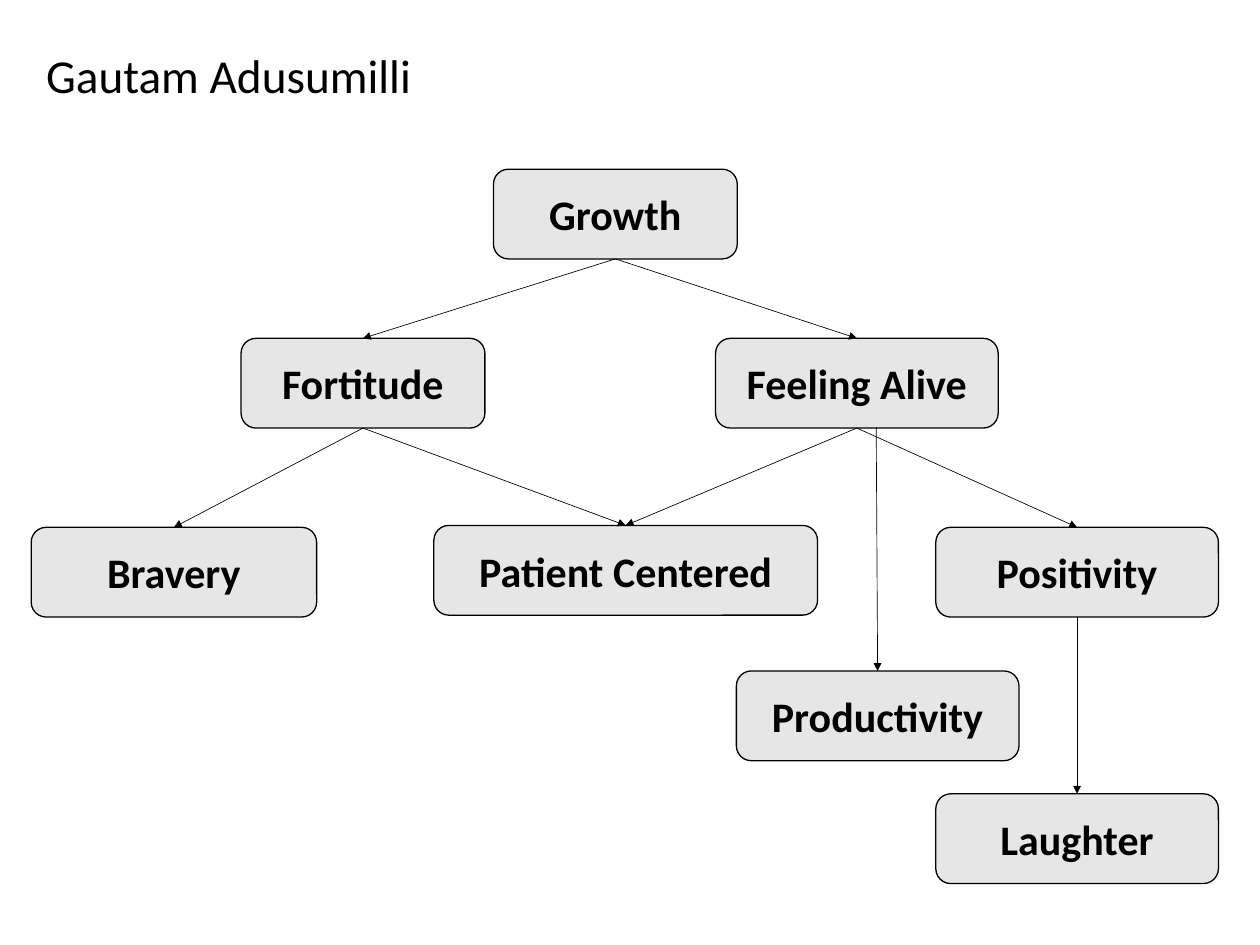
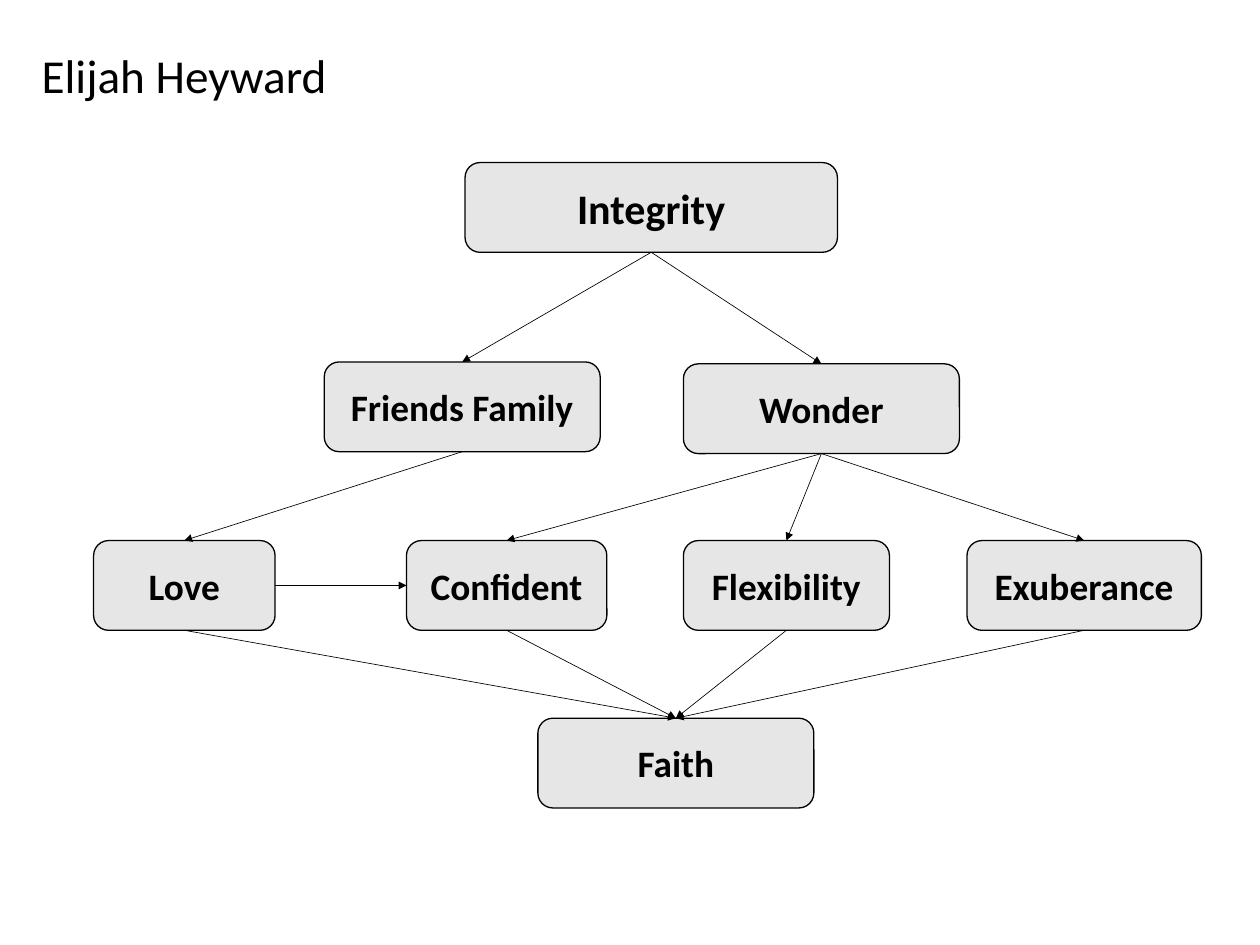
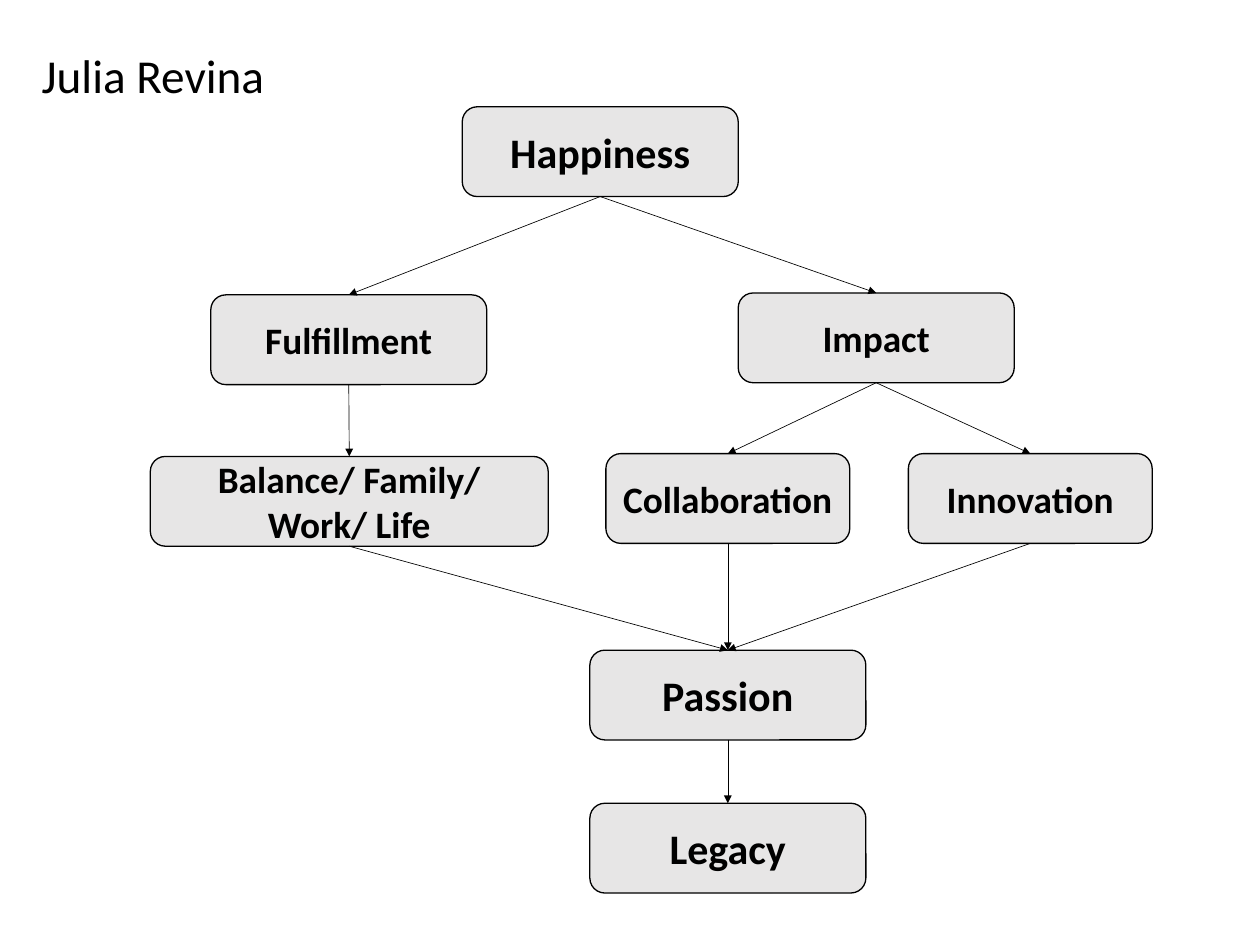
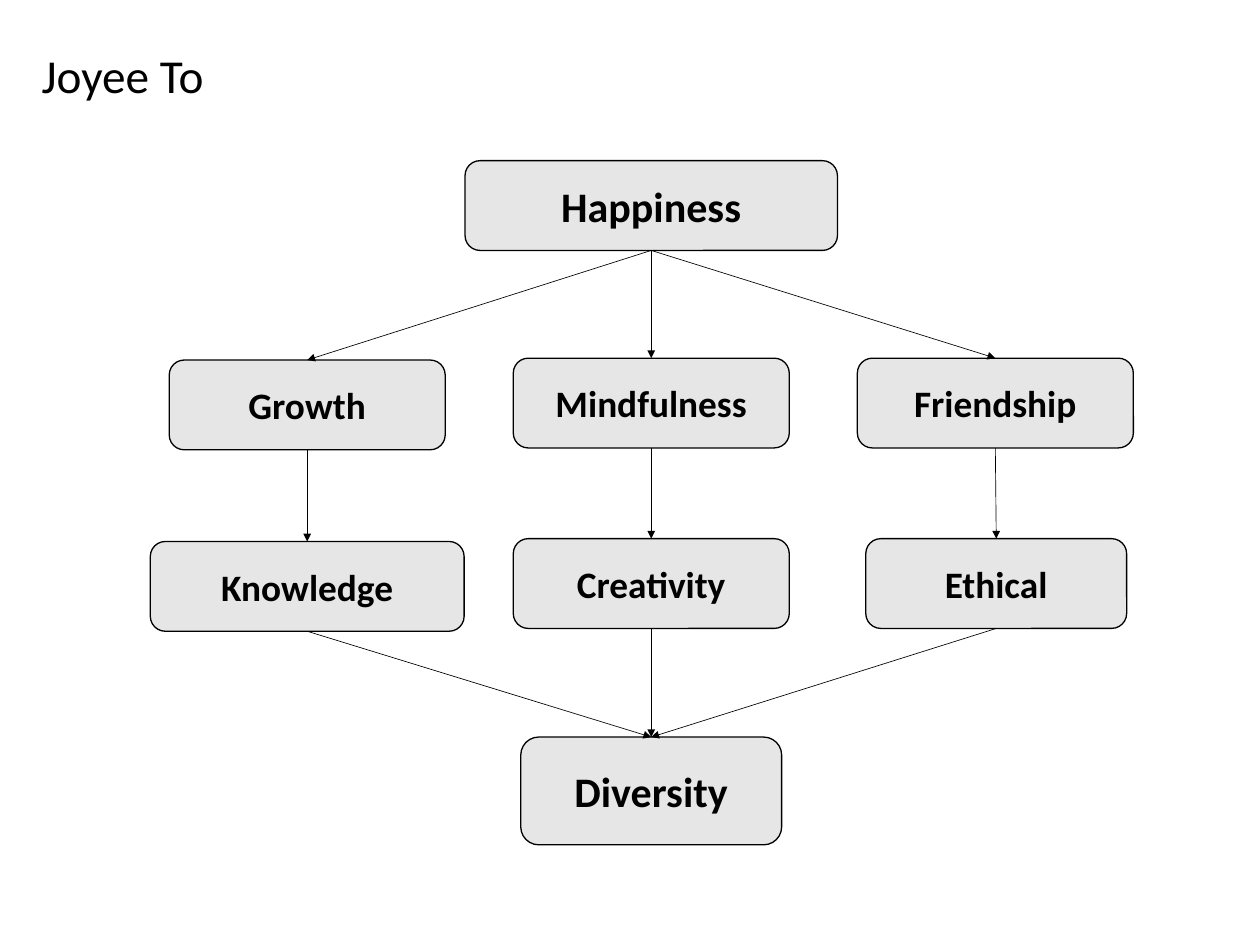
import pptx
import pptx.util
import pptx.dml.color
import pptx.enum.shapes
import pptx.enum.text
import pptx.oxml.ns
from lxml import etree
from pptx.util import Inches, Pt

BLACK = pptx.dml.color.RGBColor(0x00, 0x00, 0x00)
GREY = pptx.dml.color.RGBColor(0xE7, 0xE6, 0xE6)
FONT = "Calibri"
LARGE, SMALL = 32, 28.4
HEIGHT, TALL = 0.95, 1.14
TOP, LEFT, BOTTOM, RIGHT = range(4)
ALIGN = pptx.enum.text.PP_ALIGN
MIDDLE = pptx.enum.text.MSO_ANCHOR.MIDDLE
ROUNDED = pptx.enum.shapes.MSO_SHAPE.ROUNDED_RECTANGLE
STRAIGHT = pptx.enum.shapes.MSO_CONNECTOR.STRAIGHT

# Each slide: title, title left, title width, title alignment,
# boxes (text, left, top, width, height, font size),
# links (parent, children), joined from bottom to top.
LADDERS = [
    ("Gautam Adusumilli", 0, 4.45, ALIGN.RIGHT, [
        ("Growth", 5.22, 1.79, 2.58, HEIGHT, LARGE),
        ("Fortitude", 2.55, 3.58, 2.58, HEIGHT, LARGE),
        ("Feeling Alive", 7.57, 3.58, 2.99, HEIGHT, LARGE),
        ("Bravery", 0.33, 5.58, 3.02, HEIGHT, LARGE),
        ("Patient Centered", 4.59, 5.56, 4.06, HEIGHT, LARGE),
        ("Positivity", 9.9, 5.58, 2.99, HEIGHT, LARGE),
        ("Productivity", 7.79, 7.1, 2.99, HEIGHT, LARGE),
        ("Laughter", 9.9, 8.4, 2.99, HEIGHT, LARGE),
    ], [
        ("Growth", ["Fortitude", "Feeling Alive"]),
        ("Fortitude", ["Bravery", "Patient Centered"]),
        ("Feeling Alive", ["Patient Centered", "Positivity", "Productivity"]),
        ("Positivity", ["Laughter"]),
    ]),
    ("Elijah Heyward", 0.34, 10.48, ALIGN.LEFT, [
        ("Integrity", 4.92, 1.72, 3.94, HEIGHT, LARGE),
        ("Friends Family", 3.43, 3.83, 2.92, HEIGHT, SMALL),
        ("Wonder", 7.23, 3.85, 2.92, HEIGHT, SMALL),
        ("Love", 0.99, 5.72, 1.92, HEIGHT, SMALL),
        ("Confident", 4.3, 5.72, 2.12, HEIGHT, SMALL),
        ("Flexibility", 7.23, 5.72, 2.18, HEIGHT, SMALL),
        ("Exuberance", 10.23, 5.72, 2.48, HEIGHT, SMALL),
        ("Faith", 5.69, 7.6, 2.92, HEIGHT, SMALL),
    ], [
        ("Integrity", ["Friends Family", "Wonder"]),
        ("Friends Family", ["Love"]),
        ("Wonder", ["Confident", "Flexibility", "Exuberance"]),
        ("Love", ["Confident", "Faith"]),
        ("Confident", ["Faith"]),
        ("Flexibility", ["Faith"]),
        ("Exuberance", ["Faith"]),
    ]),
    ("Julia Revina", 0.34, 10.48, ALIGN.LEFT, [
        ("Happiness", 4.89, 1.13, 2.92, HEIGHT, LARGE),
        ("Fulfillment", 2.23, 3.12, 2.92, HEIGHT, SMALL),
        ("Impact", 7.81, 3.1, 2.92, HEIGHT, SMALL),
        ("Balance/ Family/ Work/ Life", 1.59, 4.83, 4.21, HEIGHT, SMALL),
        ("Collaboration", 6.41, 4.8, 2.58, HEIGHT, SMALL),
        ("Innovation", 9.61, 4.8, 2.58, HEIGHT, SMALL),
        ("Passion", 6.24, 6.88, 2.92, HEIGHT, LARGE),
        ("Legacy", 6.24, 8.5, 2.92, HEIGHT, LARGE),
    ], [
        ("Happiness", ["Fulfillment", "Impact"]),
        ("Fulfillment", ["Balance/ Family/ Work/ Life"]),
        ("Impact", ["Collaboration", "Innovation"]),
        ("Balance/ Family/ Work/ Life", ["Passion"]),
        ("Collaboration", ["Passion"]),
        ("Innovation", ["Passion"]),
        ("Passion", ["Legacy"]),
    ]),
    ("Joyee To", 0.34, 10.48, ALIGN.LEFT, [
        ("Happiness", 4.92, 1.7, 3.94, HEIGHT, LARGE),
        ("Growth", 1.79, 3.81, 2.92, HEIGHT, SMALL),
        ("Mindfulness", 5.43, 3.79, 2.92, HEIGHT, SMALL),
        ("Friendship", 9.07, 3.79, 2.92, HEIGHT, SMALL),
        ("Knowledge", 1.59, 5.73, 3.32, HEIGHT, SMALL),
        ("Creativity", 5.43, 5.7, 2.92, HEIGHT, SMALL),
        ("Ethical", 9.16, 5.7, 2.76, HEIGHT, SMALL),
        ("Diversity", 5.51, 7.8, 2.76, TALL, LARGE),
    ], [
        ("Happiness", ["Growth", "Mindfulness", "Friendship"]),
        ("Growth", ["Knowledge"]),
        ("Mindfulness", ["Creativity"]),
        ("Friendship", ["Ethical"]),
        ("Knowledge", ["Diversity"]),
        ("Creativity", ["Diversity"]),
        ("Ethical", ["Diversity"]),
    ]),
]


def set_text(sp, text, size, bold, align):
    tf = sp.text_frame
    tf.text = text
    tf.word_wrap = True
    tf.auto_size = pptx.enum.text.MSO_AUTO_SIZE.NONE
    tf.vertical_anchor = MIDDLE
    p = tf.paragraphs[0]
    p.alignment = align
    p.font.name = FONT
    p.font.size = Pt(size)
    p.font.bold = bold
    p.font.color.rgb = BLACK


def add_arrow(s, parent, child):
    """Join two boxes: sideways when they share a row, else downwards."""
    sides = (RIGHT, LEFT) if parent.top == child.top else (BOTTOM, TOP)
    line = s.shapes.add_connector(STRAIGHT, 0, 0, 0, 0)
    line.begin_connect(parent, sides[0])
    line.end_connect(child, sides[1])
    line.line.color.rgb = BLACK
    line.line.width = Pt(0.5)
    ln = line.line._get_or_add_ln()
    etree.SubElement(ln, pptx.oxml.ns.qn("a:tailEnd"), type="triangle")
    etree.SubElement(line._element.spPr, pptx.oxml.ns.qn("a:effectLst"))
    return line


prs = pptx.Presentation()
prs.slide_width, prs.slide_height = Inches(13.33), Inches(10)

for title, title_left, title_width, align, boxes, links in LADDERS:
    s = prs.slides.add_slide(prs.slide_layouts[5])
    sp = s.shapes.title
    sp.left, sp.top = Inches(title_left), Inches(0.43)
    sp.width, sp.height = Inches(title_width), Inches(0.71)
    set_text(sp, title, 36, False, align)

    shapes = {}
    for text, left, top, width, height, size in boxes:
        sp = s.shapes.add_shape(ROUNDED, Inches(left), Inches(top),
                                Inches(width), Inches(height))
        sp.shadow.inherit = False
        sp.fill.solid()
        sp.fill.fore_color.rgb = GREY
        sp.line.color.rgb = BLACK
        sp.line.width = Pt(1)
        sp.text_frame.margin_left = sp.text_frame.margin_right = Inches(0.12)
        set_text(sp, text, size, True, ALIGN.CENTER)
        shapes[text] = sp

    for parent, children in links:
        for child in children:
            line = add_arrow(s, shapes[parent], shapes[child])
            if child == "Productivity":
                # This arrow starts right of the middle, clear of its neighbours.
                line._element.nvCxnSpPr.cNvCxnSpPr._remove_stCxn()
                line.begin_x, line.begin_y = Inches(9.27), Inches(4.52)

prs.save("out.pptx")
